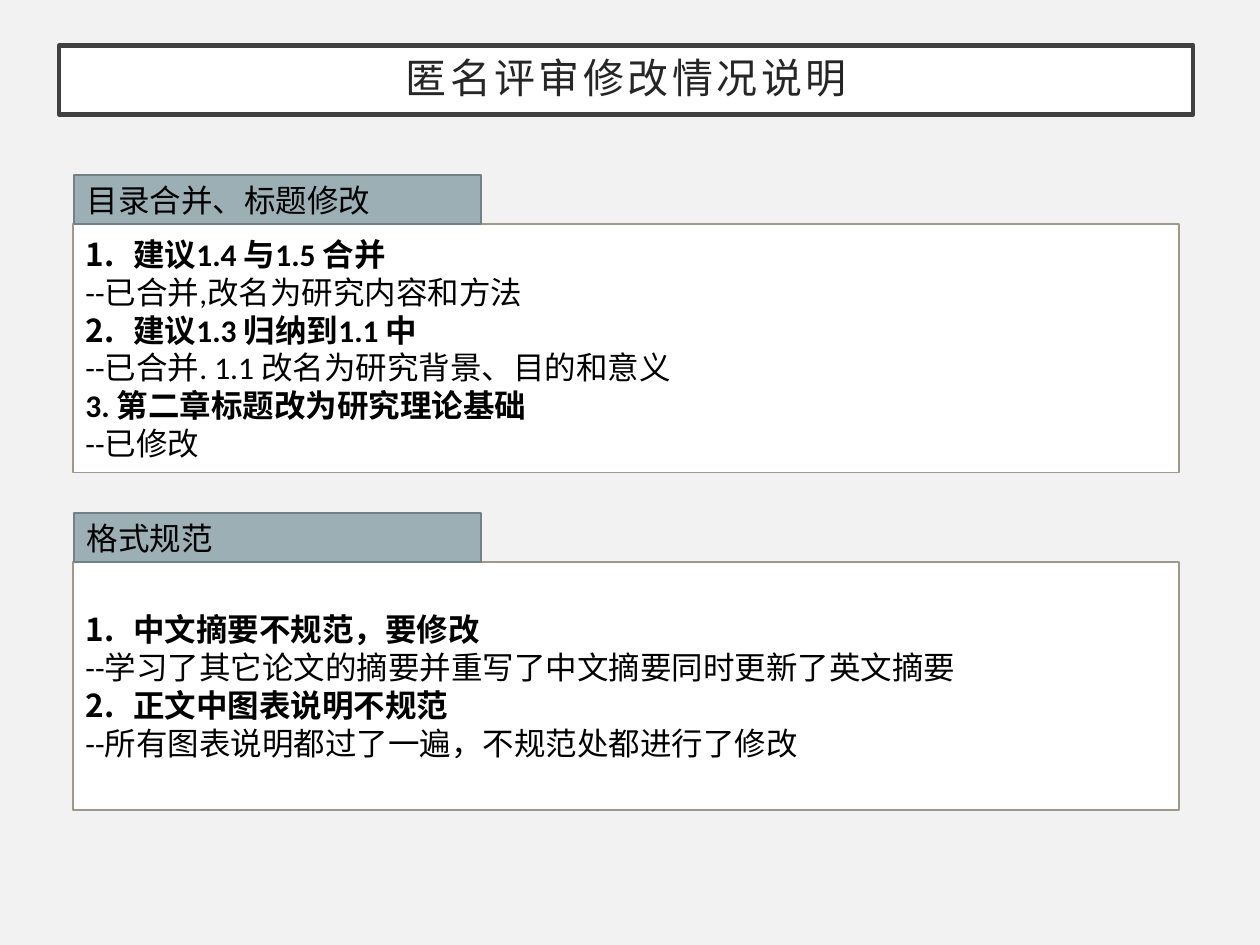
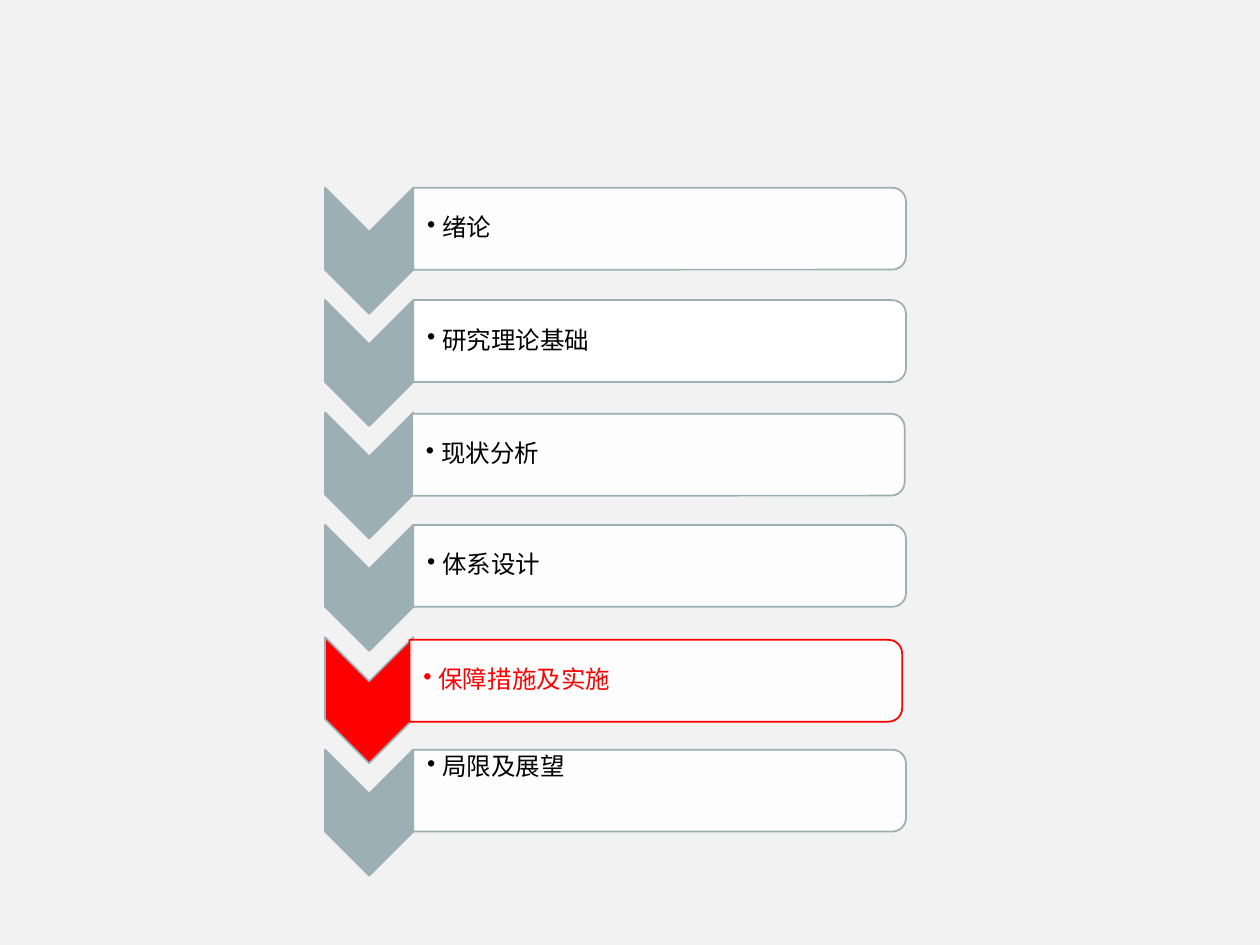
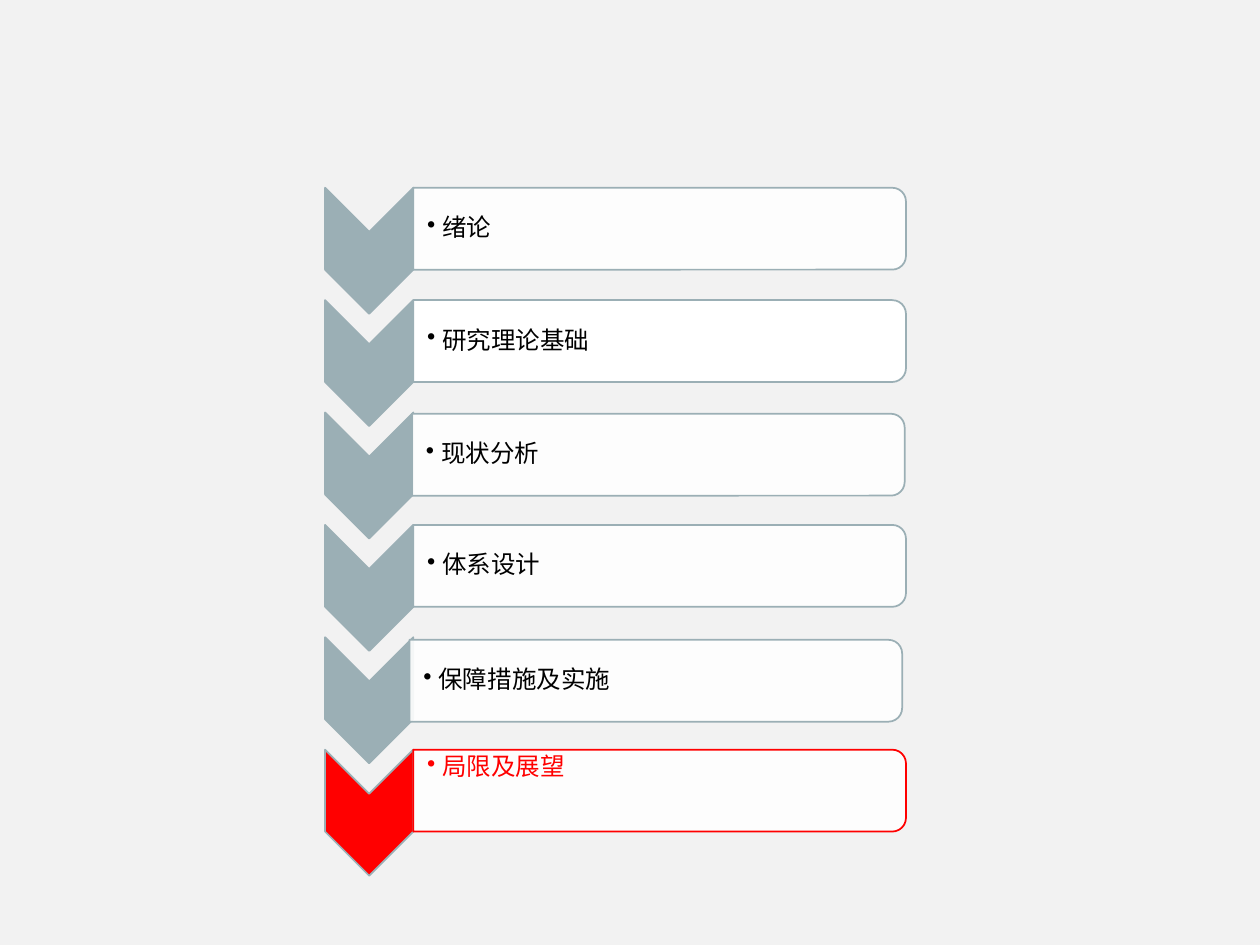
"""Build three slides: the review revision notes and two views of the thesis outline."""
from lxml.etree import SubElement
from pptx import Presentation
from pptx.dml.color import RGBColor
from pptx.enum.shapes import MSO_SHAPE
from pptx.enum.text import MSO_ANCHOR, MSO_AUTO_SIZE, PP_ALIGN
from pptx.oxml.ns import qn
from pptx.util import Inches, Pt

COLOURS = {
    "page": "F2F2F2", "white": "FFFFFF", "black": "000000",
    "title": "262626", "frame": "404040", "panel_edge": "A0988C",
    "slate": "9BAFB5", "slate_edge": "738186", "current": "FF0000",
}
LATIN, CJK = "Calibri", "Noto Sans CJK SC"


def paint(shape, fill, edge, width=1):
    shape.shadow.inherit = False
    shape.fill.solid()
    shape.fill.fore_color.rgb = RGBColor.from_string(COLOURS[fill])
    shape.line.color.rgb = RGBColor.from_string(COLOURS[edge])
    shape.line.width = Pt(width)


def write(paragraph, text, size, colour="black", bold=False, face=LATIN,
          bullet=None, indent=0, align=PP_ALIGN.LEFT):
    paragraph.alignment = align
    if bullet:
        properties = paragraph._p.get_or_add_pPr()
        properties.set("marL", str(Inches(indent)))
        properties.set("indent", str(-Inches(indent)))
        tag, values = bullet
        SubElement(properties, qn(tag), values)
    run = paragraph.add_run()
    run.text = text
    for name, value in {"size": Pt(size), "bold": bold, "name": face}.items():
        setattr(run.font, name, value)
    run.font.color.rgb = RGBColor.from_string(COLOURS[colour])
    SubElement(run._r.get_or_add_rPr(), qn("a:ea"), {"typeface": CJK})
    return run


prs = Presentation()
prs.slide_width, prs.slide_height = Inches(10), Inches(7.5)
background = prs.slide_master.background.fill
background.solid()
background.fore_color.rgb = RGBColor.from_string(COLOURS["page"])

revisions = prs.slides.add_slide(prs.slide_layouts[5])
title = revisions.shapes.title
for name, value in {"left": 0.47, "top": 0.36, "width": 9, "height": 0.55}.items():
    setattr(title, name, Inches(value))
paint(title, "white", "frame", 2.5)
title_format = {"auto_size": MSO_AUTO_SIZE.NONE, "vertical_anchor": MSO_ANCHOR.MIDDLE}
for side in ("left", "top", "right", "bottom"):
    title_format[f"margin_{side}"] = Inches(0.2)
for name, value in title_format.items():
    setattr(title.text_frame, name, value)
heading = title.text_frame.paragraphs[0]
heading.line_spacing = 0.9
title_run = write(heading, "匿名评审修改情况说明", 23.4, "title", face=CJK, align=PP_ALIGN.CENTER)
title_run._r.get_or_add_rPr().set("spc", "200")

topics = [
    (1.39, "目录合并、标题修改", [
        (1, "建议1.4 与1.5 合并", "--已合并,改名为研究内容和方法"),
        (2, "建议1.3 归纳到1.1 中", "--已合并. 1.1 改名为研究背景、目的和意义"),
        (None, "3. 第二章标题改为研究理论基础", "--已修改"),
    ]),
    (4.07, "格式规范", [
        (1, "中文摘要不规范，要修改", "--学习了其它论文的摘要并重写了中文摘要同时更新了英文摘要"),
        (2, "正文中图表说明不规范", "--所有图表说明都过了一遍，不规范处都进行了修改"),
    ]),
]
for top, topic, comments in topics:
    panel = revisions.shapes.add_shape(
        MSO_SHAPE.RECTANGLE, Inches(0.58), Inches(top + 0.39), Inches(8.78), Inches(1.97))
    paint(panel, "white", "panel_edge")
    tab = revisions.shapes.add_shape(
        MSO_SHAPE.RECTANGLE, Inches(0.59), Inches(top), Inches(3.23), Inches(0.39))
    paint(tab, "slate", "slate_edge")
    write(tab.text_frame.paragraphs[0], topic, 18)
    for position, (number, comment, reply) in enumerate(comments):
        frame = panel.text_frame
        line = frame.add_paragraph() if position else frame.paragraphs[0]
        numbering = number and ("a:buAutoNum", {"type": "arabicPeriod", "startAt": str(number)})
        write(line, comment, 18, bold=True, bullet=numbering, indent=0.38)
        write(frame.add_paragraph(), reply, 18)

chapters = [
    ("绪论", 0, 0), ("研究理论基础", 0, 0), ("现状分析", -0.01, 0.01),
    ("体系设计", 0, 0), ("保障措施及实施", -0.03, 0.02), ("局限及展望", 0, 0),
]
last_chapter = chapters[-1][0]
for current_chapter in ("保障措施及实施", last_chapter):
    outline = prs.slides.add_slide(prs.slide_layouts[6])
    for row, (chapter, shift_x, shift_y) in enumerate(chapters):
        top = 1.64 + row * (6.1 - 1.64) / (len(chapters) - 1)
        is_current = chapter == current_chapter
        arrow = outline.shapes.add_shape(
            MSO_SHAPE.CHEVRON, Inches(2.43), Inches(top), Inches(1), Inches(0.7))
        paint(arrow, "current" if is_current else "slate", "slate")
        card = outline.shapes.add_shape(
            MSO_SHAPE.ROUND_2_SAME_RECTANGLE, Inches(4.91 + shift_x),
            Inches(top - 1.78 + shift_y), Inches(0.65), Inches(3.91))
        paint(card, "white", "current" if is_current else "slate")
        arrow.rotation = card.rotation = 90
        if chapter != "研究理论基础":
            white = card._element.spPr.find(qn("a:solidFill"))[0]
            SubElement(white, qn("a:alpha"), {"val": "90000"})
        label = outline.shapes.add_textbox(
            Inches(3.28 + shift_x), Inches(top - 0.12 + shift_y), Inches(3.88), Inches(0.59))
        label_format = {
            "word_wrap": True,
            "vertical_anchor": MSO_ANCHOR.TOP if chapter == last_chapter else MSO_ANCHOR.MIDDLE,
            "margin_left": Inches(0.11), "margin_top": Inches(0.01),
            "margin_right": Inches(0.01), "margin_bottom": Inches(0.01),
        }
        for name, value in label_format.items():
            setattr(label.text_frame, name, value)
        entry = label.text_frame.paragraphs[0]
        entry.line_spacing = 0.9
        write(entry, chapter, 14, "current" if is_current else "black",
              bullet=("a:buChar", {"char": "•"}), indent=0.12)

prs.save("out.pptx")
